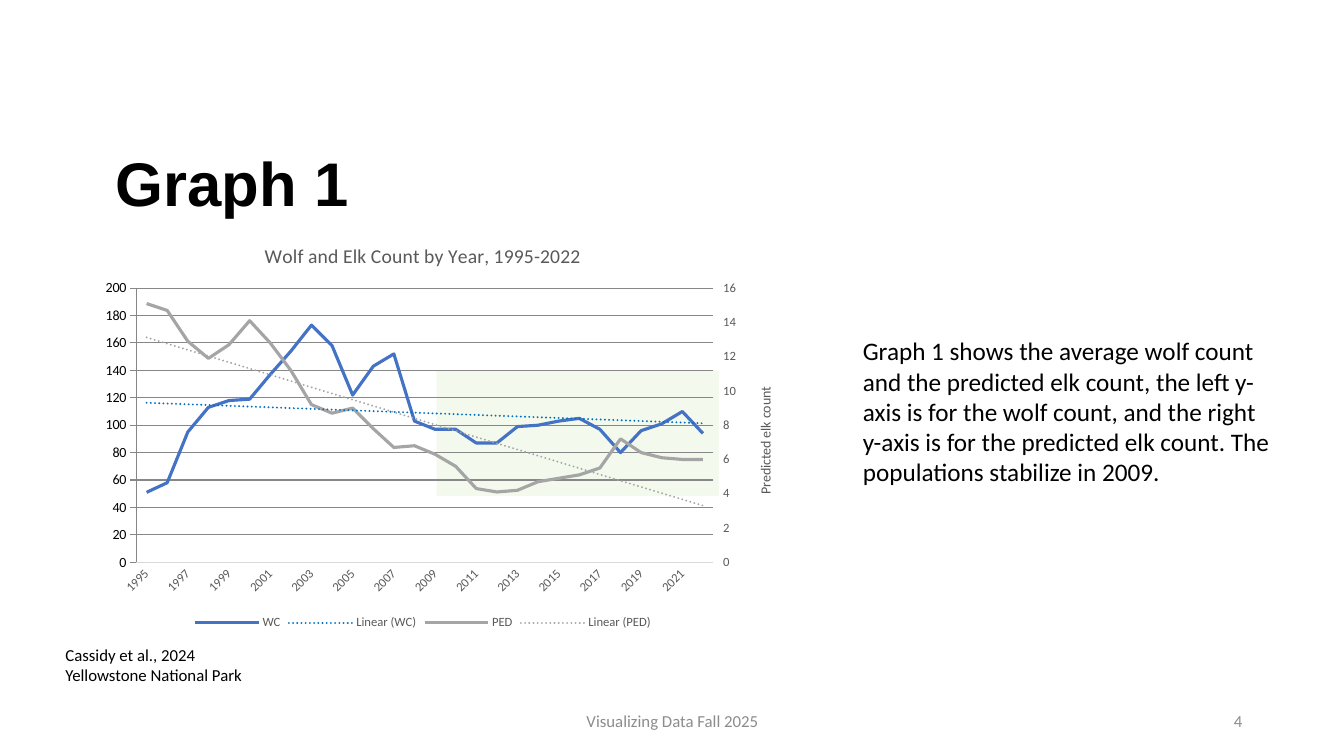
"""Build the wolf and elk count slide."""
from copy import deepcopy

from lxml import etree
from pptx import Presentation
from pptx.chart.axis import ValueAxis
from pptx.chart.data import CategoryChartData
from pptx.dml.color import RGBColor
from pptx.enum import chart as charts, shapes, text
from pptx.oxml import parse_xml
from pptx.oxml.ns import nsdecls, qn
from pptx.util import Inches, Pt

BLACK = RGBColor(0x00, 0x00, 0x00)
FOOTER_GRAY = RGBColor(0x8C, 0x8C, 0x8C)
LABEL_GRAY = RGBColor(0x59, 0x59, 0x59)
AXIS_GRAY = RGBColor(0xD9, 0xD9, 0xD9)
PALE_GREEN = RGBColor(0xE8, 0xF3, 0xDA)
WOLF_BLUE = RGBColor(0x44, 0x72, 0xC4)
WOLF_TREND = RGBColor(0x00, 0x70, 0xC0)
ELK_GRAY = RGBColor(0xA5, 0xA5, 0xA5)

YEARS = [str(year) for year in range(1995, 2023)]
WOLVES = [51, 58, 95, 113, 118, 119, 137, 154, 173, 158, 122, 143, 152, 103,
          97, 97, 87, 87, 99, 100, 103, 105, 97, 80, 96, 101, 110, 94]
ELK = [15.1, 14.7, 12.9, 11.9, 12.7, 14.1, 12.8, 11.2, 9.2, 8.7, 9, 7.8, 6.7, 6.8,
       6.3, 5.6, 4.3, 4.1, 4.2, 4.7, 4.9, 5.1, 5.5, 7.2, 6.4, 6.1, 6, 6]
SUMMARY = ("Graph 1 shows the average wolf count and the predicted elk count, "
           "the left y-axis is for the wolf count, and the right y-axis is for "
           "the predicted elk count. The populations stabilize in 2009.")


def style_font(font, size, color, name="Calibri", bold=False):
    """Set the face, size, weight and colour of a font."""
    font.name, font.size, font.bold = name, Pt(size), bold
    font.color.rgb = color


def add_text(slide, box, lines, size, color=BLACK, name="Calibri", bold=False,
             align=text.PP_ALIGN.LEFT, anchor=text.MSO_ANCHOR.TOP, spacing=1.0):
    """Add a wrapped text box, one paragraph per line."""
    frame = slide.shapes.add_textbox(*map(Inches, box)).text_frame
    frame.word_wrap = True
    frame.vertical_anchor = anchor
    frame.text = "\n".join(lines)
    for paragraph in frame.paragraphs:
        paragraph.alignment = align
        paragraph.line_spacing = spacing
        for run in paragraph.runs:
            style_font(run.font, size, color, name, bold)


def add_stable_period(slide):
    """Add the translucent band that marks the stable years."""
    band = slide.shapes.add_shape(shapes.MSO_SHAPE.RECTANGLE,
                                  *map(Inches, (4.33, 3.68, 2.8, 1.24)))
    band.shadow.inherit = False
    band.line.fill.background()
    band.fill.solid()
    band.fill.fore_color.rgb = PALE_GREEN
    color = band.fill._xPr.find(".//" + qn("a:srgbClr"))
    etree.SubElement(color, qn("a:alpha"), val="49000")


def set_layout(element, index, **fractions):
    """Give a chart element a manual layout as fractions of the chart."""
    for old in element.findall(qn("c:layout")):
        element.remove(old)
    layout = etree.Element(qn("c:layout"))
    manual = etree.SubElement(layout, qn("c:manualLayout"))
    if "w" in fractions:
        etree.SubElement(manual, qn("c:layoutTarget"), val="inner")
    for key in ("x", "y"):
        etree.SubElement(manual, qn(f"c:{key}Mode"), val="edge")
    for key, value in fractions.items():
        etree.SubElement(manual, qn(f"c:{key}"), val=str(value))
    element.insert(index, layout)


def move_elk_to_right_axis(chart):
    """Move the second series to its own axes and return the right axis."""
    wolf_plot = chart.plots[0]._element
    elk_plot = deepcopy(wolf_plot)
    wolf_plot.remove(wolf_plot.findall(qn("c:ser"))[1])
    elk_plot.remove(elk_plot.find(qn("c:ser")))
    wolf_plot.addnext(elk_plot)
    category = deepcopy(chart.category_axis._element)
    value = deepcopy(chart.value_axis._element)
    chart.value_axis._element.addnext(value)
    value.addnext(category)
    for axis, own, crossed in ((category, "5001", "5002"), (value, "5002", "5001")):
        axis.find(qn("c:axId")).set("val", own)
        axis.find(qn("c:crossAx")).set("val", crossed)
    for axis_id, number in zip(elk_plot.findall(qn("c:axId")), ("5001", "5002")):
        axis_id.set("val", number)
    category.find(qn("c:delete")).set("val", "1")
    value.find(qn("c:axPos")).set("val", "r")
    value.find(qn("c:crosses")).set("val", "max")
    return ValueAxis(value)


def style_value_axis(axis, title, maximum, unit, tick, x, y):
    """Format a value axis and place its turned title."""
    axis.has_major_gridlines = False
    axis.minimum_scale, axis.maximum_scale, axis.major_unit = 0, maximum, unit
    axis.major_tick_mark = tick
    axis.format.line.fill.background()
    style_font(axis.tick_labels.font, 9, LABEL_GRAY)
    axis.tick_labels.number_format = "General"
    axis.tick_labels.number_format_is_linked = False
    element = axis._element
    for old in element.findall(qn("c:crossBetween")):
        element.remove(old)
    between = etree.Element(qn("c:crossBetween"), val="between")
    element.find(qn("c:crosses")).addnext(between)
    frame = axis.axis_title.text_frame
    frame.text = title
    style_font(frame.paragraphs[0].runs[0].font, 10, LABEL_GRAY)
    title_element = axis.axis_title._element
    body = title_element.find(".//" + qn("a:bodyPr"))
    body.set("rot", "-5400000")
    body.set("vert", "horz")
    set_layout(title_element, 1, x=x, y=y)


def style_category_axis(axis):
    """Show every second year, slanted."""
    axis.major_tick_mark = charts.XL_TICK_MARK.NONE
    axis.format.line.color.rgb = AXIS_GRAY
    axis.format.line.width = Pt(0.75)
    style_font(axis.tick_labels.font, 9, LABEL_GRAY)
    element = axis._element
    element.find(qn("c:txPr")).find(qn("a:bodyPr")).set("rot", "-2700000")
    skip = etree.Element(qn("c:tickLblSkip"), val="2")
    element.find(qn("c:noMultiLvlLbl")).addprevious(skip)


def style_series(series, color, trend_color):
    """Draw a series as a plain line with a dotted linear trend."""
    series.smooth = False
    series.marker.style = charts.XL_MARKER_STYLE.NONE
    series.format.line.color.rgb = color
    series.format.line.width = Pt(2.25)
    trend = parse_xml(
        f'<c:trendline {nsdecls("c", "a")}><c:spPr><a:ln w="{Pt(1.5)}" cap="rnd">'
        f'<a:solidFill><a:srgbClr val="{trend_color}"/></a:solidFill>'
        '<a:prstDash val="sysDot"/></a:ln></c:spPr><c:trendlineType val="linear"/>'
        '<c:dispRSqr val="0"/><c:dispEq val="0"/></c:trendline>')
    series._element.find(qn("c:cat")).addprevious(trend)


def add_count_chart(slide):
    """Add the two-axis line chart of wolves and elk."""
    data = CategoryChartData()
    data.categories = YEARS
    data.add_series("WC", WOLVES)
    data.add_series("PED", ELK)
    chart = slide.shapes.add_chart(charts.XL_CHART_TYPE.LINE,
                                   *map(Inches, (0.55, 2.23, 7.29, 4.06)), data).chart
    style_font(chart.font, 10, BLACK)
    chart.plots[0].vary_by_categories = False
    chart.chart_title.text_frame.text = "Wolf and Elk Count by Year, 1995-2022"
    title_run = chart.chart_title.text_frame.paragraphs[0].runs[0]
    style_font(title_run.font, 14, LABEL_GRAY)
    chart.has_legend = True
    chart.legend.position = charts.XL_LEGEND_POSITION.BOTTOM
    chart.legend.include_in_layout = False
    style_font(chart.legend.font, 9, LABEL_GRAY)

    right_axis = move_elk_to_right_axis(chart)
    style_category_axis(chart.category_axis)
    style_value_axis(chart.value_axis, "Wolf Count", 180, 20,
                     charts.XL_TICK_MARK.NONE, 0.03, 0.44)
    style_value_axis(right_axis, "Predicted elk count", 16, 2,
                     charts.XL_TICK_MARK.OUTSIDE, 0.95, 0.39)
    for plot, colors in zip(chart.plots, ((WOLF_BLUE, WOLF_TREND), (ELK_GRAY, ELK_GRAY))):
        style_series(plot.series[0], *colors)

    plot_area = chart._chartSpace.find(".//" + qn("c:plotArea"))
    set_layout(plot_area, 0, x=0.11, y=0.155, w=0.785, h=0.67)
    no_fill = parse_xml(f'<c:spPr {nsdecls("c", "a")}><a:noFill/>'
                        '<a:ln><a:noFill/></a:ln></c:spPr>')
    plot_area.append(deepcopy(no_fill))
    chart._chartSpace.find(qn("c:chart")).addnext(no_fill)


def main():
    """Build and save the presentation."""
    presentation = Presentation()
    presentation.slide_width, presentation.slide_height = Inches(13.33), Inches(7.5)
    slide = presentation.slides.add_slide(presentation.slide_layouts[6])
    add_text(slide, (1.05, 1.07, 11.58, 1.16), ["Graph 1"], 44, name="Arial",
             bold=True, anchor=text.MSO_ANCHOR.BOTTOM, spacing=0.9)
    add_text(slide, (4.42, 6.95, 4.5, 0.4), ["Visualizing Data Fall 2025"], 12,
             FOOTER_GRAY, align=text.PP_ALIGN.CENTER, anchor=text.MSO_ANCHOR.MIDDLE)
    add_text(slide, (9.42, 6.95, 3, 0.4), ["4"], 12, FOOTER_GRAY,
             align=text.PP_ALIGN.RIGHT, anchor=text.MSO_ANCHOR.MIDDLE)
    add_text(slide, (8.46, 3.28, 4.26, 1.62), [SUMMARY], 18)
    add_stable_period(slide)
    add_text(slide, (0.55, 6.35, 2.06, 0.5),
             ["Cassidy et al., 2024", "Yellowstone National Park"], 12)
    add_count_chart(slide)
    presentation.save("out.pptx")


if __name__ == "__main__":
    main()
